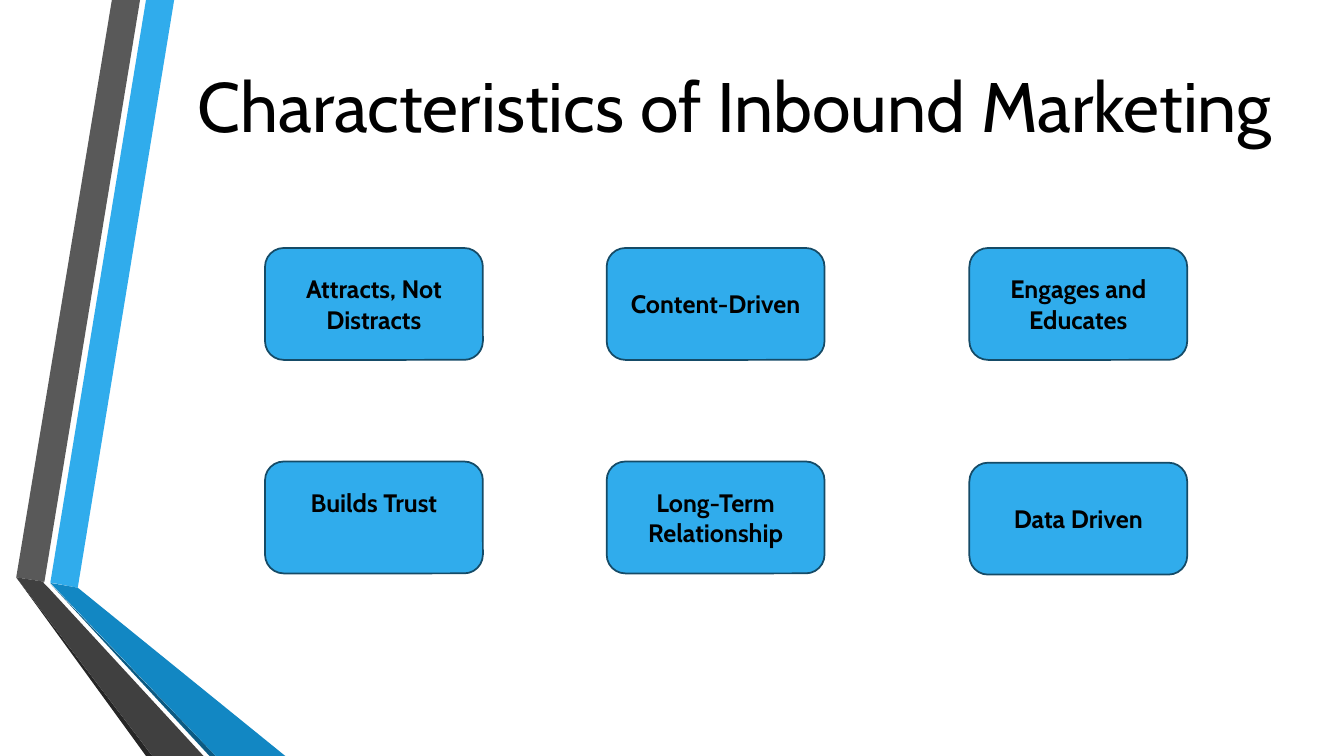
from pptx import Presentation
from pptx import util as u
from pptx.dml.color import RGBColor
from pptx.enum import shapes, text

BLACK = RGBColor(0x00, 0x00, 0x00)
SKY = RGBColor(0x30, 0xAC, 0xEC)
BLUE = RGBColor(0x12, 0x87, 0xC3)
DEEP_BLUE = RGBColor(0x0C, 0x5A, 0x82)
OUTLINE = RGBColor(0x15, 0x4B, 0x67)
GREY = RGBColor(0x59, 0x59, 0x59)
CHARCOAL = RGBColor(0x40, 0x40, 0x40)
SOOT = RGBColor(0x26, 0x26, 0x26)
FONT = "Cabin"

RIBBONS = [
    (SKY, [(1.27, 14.68), (1.96, 14.81), (4.39, 0), (3.68, 0)]),
    (GREY, [(3.53, 0), (2.82, 0), (0.41, 14.55), (1.12, 14.66)]),
    (SOOT, [(0.41, 14.55), (3.68, 19.05), (3.84, 19.05)]),
    (DEEP_BLUE, [(1.27, 14.71), (5.28, 19.05), (5.44, 19.05)]),
    (BLUE, [(1.27, 14.69), (5.44, 19.05), (7.19, 19.05), (1.96, 14.81)]),
    (CHARCOAL, [(5.13, 19.05), (1.22, 14.81), (1.09, 14.68), (1.12, 14.66),
                (0.41, 14.55), (3.84, 19.05)]),
]

COLUMNS = [0, 8.61, 17.75]
ROW_STEP = 5.38
CARD_W, CARD_H = 5.49, 2.82
CARDS = [
    ["Attracts, Not Distracts", "Content-Driven", "Engages and Educates"],
    ["Builds Trust", "Long-Term Relationship", "Data Driven"],
]
RAISED = {"Builds Trust": 0.76}
LOWERED = {"Data Driven": 0.03}


def write(sp, content, size, bold=False, bottom=0.13):
    """Put one centred, wrapped paragraph into a shape."""
    tf = sp.text_frame
    tf.word_wrap = True
    tf.vertical_anchor = text.MSO_ANCHOR.MIDDLE
    tf.margin_bottom = u.Cm(bottom)
    p = tf.paragraphs[0]
    p.alignment = text.PP_ALIGN.CENTER
    r = p.add_run()
    r.text = content
    r.font.name = FONT
    r.font.size = u.Pt(size)
    r.font.bold = bold
    r.font.color.rgb = BLACK


def add_ribbons(s, left, top):
    """Draw the folded ribbons along the left edge."""
    for colour, outline in RIBBONS:
        points = [(u.Cm(left + x), u.Cm(top + y)) for x, y in outline]
        builder = s.shapes.build_freeform(*points[0], scale=1.0)
        builder.add_line_segments(points[1:], close=True)
        sp = builder.convert_to_shape()
        sp.shadow.inherit = False
        sp.fill.solid()
        sp.fill.fore_color.rgb = colour
        sp.line.fill.background()


def add_title(s, left, top, width, height):
    """Place the slide title in its box."""
    sp = s.shapes.add_textbox(*map(u.Cm, (left, top, width, height)))
    write(sp, "Characteristics of Inbound Marketing ", 50)


def add_cards(s, left, top):
    """Place the grid of rounded cards."""
    for row, labels in enumerate(CARDS):
        for x, label in zip(COLUMNS, labels):
            y = row * ROW_STEP + LOWERED.get(label, 0)
            sp = s.shapes.add_shape(
                shapes.MSO_SHAPE.ROUNDED_RECTANGLE,
                u.Cm(left + x), u.Cm(top + y), u.Cm(CARD_W), u.Cm(CARD_H))
            sp.shadow.inherit = False
            sp.fill.solid()
            sp.fill.fore_color.rgb = SKY
            sp.line.color.rgb = OUTLINE
            sp.line.width = u.Pt(1.25)
            write(sp, label, 18, bold=True, bottom=0.13 + RAISED.get(label, 0))


def main():
    """Build and save the slide."""
    prs = Presentation()
    prs.slide_width, prs.slide_height = u.Cm(33.87), u.Cm(19.05)
    s = prs.slides.add_slide(prs.slide_layouts[6])
    add_ribbons(s, 0, 0)
    add_title(s, 3.58, 0.69, 30.29, 3.89)
    add_cards(s, 6.68, 6.25)
    prs.save("out.pptx")


if __name__ == "__main__":
    main()
